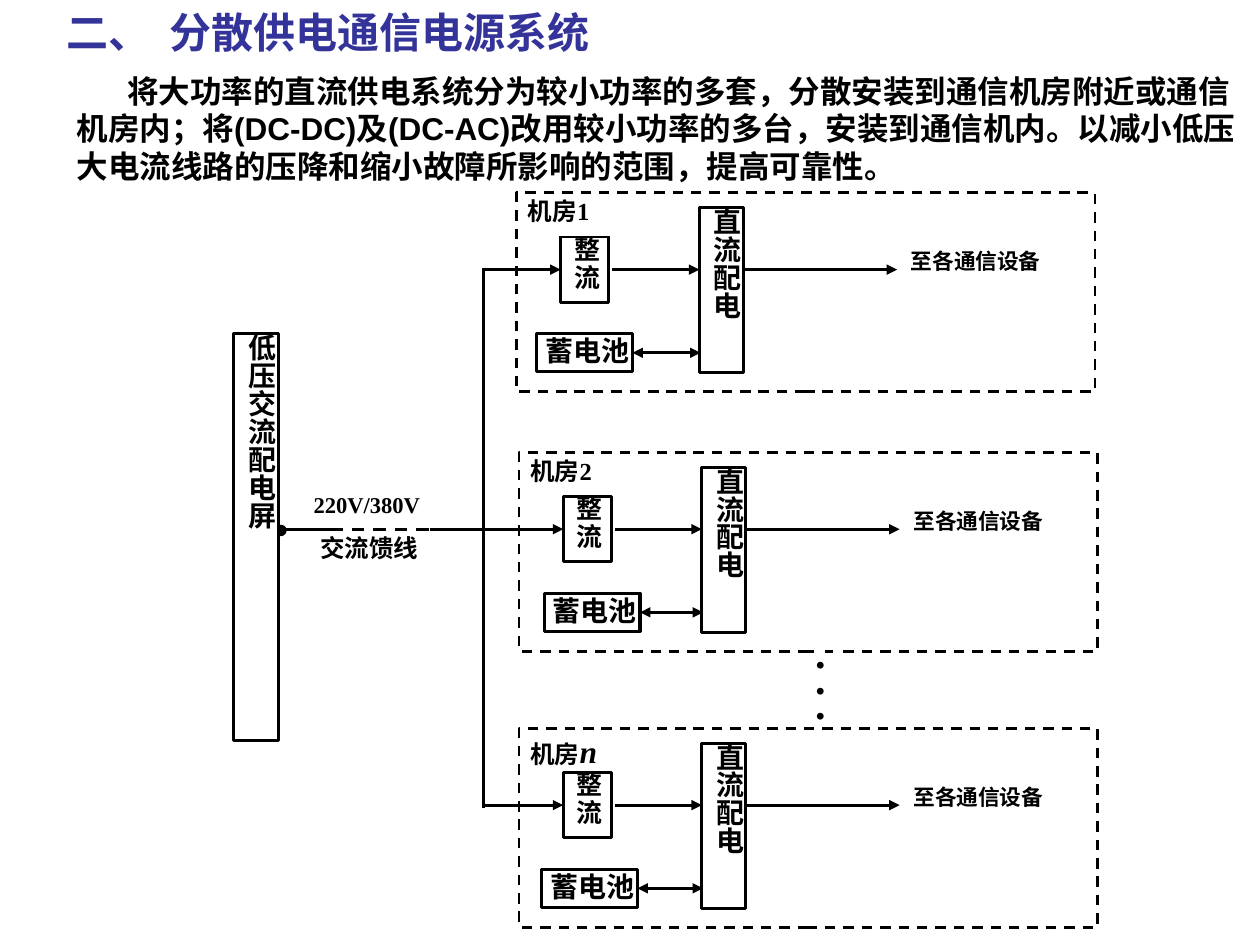
import dataclasses

import pptx
import pptx.dml.color
import pptx.enum.dml
import pptx.enum.shapes
import pptx.enum.text
import pptx.oxml.ns
import pptx.util
from lxml import etree

Inches = pptx.util.Inches
Pt = pptx.util.Pt
RGB = pptx.dml.color.RGBColor
SHAPE = pptx.enum.shapes.MSO_SHAPE
DASH = pptx.enum.dml.MSO_LINE.DASH
ALIGN = pptx.enum.text.PP_ALIGN
qn = pptx.oxml.ns.qn


@dataclasses.dataclass(frozen=True)
class Theme:
    ink: RGB = RGB(0, 0, 0)
    paper: RGB = RGB(255, 255, 255)
    accent: RGB = RGB(0x33, 0x33, 0x99)
    sans: str = "Arial"
    serif: str = "Times New Roman"
    title: float = 24
    body: float = 18
    block: float = 16
    rect: float = 14.8
    label: float = 14
    volt: float = 12.9
    out: float = 12.4
    wire: float = 1.75
    frame: float = 1.5


T = Theme()


def style(run, size, font=T.serif, color=T.ink):
    run.font.size = Pt(size)
    run.font.name = font
    run.font.bold = True
    run.font.color.rgb = color


def add_text(slide, at, text, size, color=T.ink):
    box = slide.shapes.add_textbox(*map(Inches, at))
    frame = box.text_frame
    frame.word_wrap = True
    frame.auto_size = pptx.enum.text.MSO_AUTO_SIZE.SHAPE_TO_FIT_TEXT
    frame.text = text
    para = frame.paragraphs[0]
    style(para.runs[0], size, T.sans, color)
    return para


def add_box(slide, at, line=T.ink, fill=T.paper, width=T.wire,
            kind=SHAPE.RECTANGLE):
    box = slide.shapes.add_shape(kind, *map(Inches, at))
    box.shadow.inherit = False
    if fill is None:
        box.fill.background()
    else:
        box.fill.solid()
        box.fill.fore_color.rgb = fill
    box.line.color.rgb = line
    box.line.width = Pt(width)
    return box


def fill_text(box, text, size, align=ALIGN.LEFT, space=1.0, left=0, vert=False):
    frame = box.text_frame
    frame.word_wrap = True
    frame.vertical_anchor = pptx.enum.text.MSO_ANCHOR.TOP
    frame.margin_left = Inches(left)
    frame.margin_top = frame.margin_right = frame.margin_bottom = 0
    if vert:
        box.element.txBody.bodyPr.set("vert", "eaVert")
    frame.text = text
    for para in frame.paragraphs:
        para.alignment = align
        para.line_spacing = space
        style(para.runs[0], size)


def add_label(slide, at, text, size, fill=None, space=1.0):
    box = add_box(slide, at, line=T.paper, fill=fill)
    fill_text(box, text, size, space=space)
    return box


def add_block(slide, at, text, size=T.block, **opts):
    box = add_box(slide, at)
    fill_text(box, text, size, ALIGN.CENTER, **opts)
    return box


def add_wire(slide, start, end, ends=(), dash=False):
    """Draw a line; ends names the arrowheads, headEnd and tailEnd."""
    wire = slide.shapes.add_connector(
        pptx.enum.shapes.MSO_CONNECTOR.STRAIGHT, *map(Inches, start + end))
    wire.line.color.rgb = T.ink
    wire.line.width = Pt(T.wire)
    if dash:
        wire.line.dash_style = DASH
    props = wire.element.spPr
    for name in ends:
        etree.SubElement(props.find(qn("a:ln")), qn("a:" + name), type="triangle")
    etree.SubElement(props, qn("a:effectLst"))
    return wire


def add_feed(slide):
    """Draw the mains feed and the bus that joins the rooms."""
    add_label(slide, (2.49, 3.92, 1.07, 0.23), "220V/380V", T.volt, space=0.9)
    add_box(slide, (2.19, 4.17, 0.08, 0.08), fill=T.ink, width=0.75,
            kind=SHAPE.OVAL)
    for left, right, dash in ((2.22, 2.65, False), (2.45, 3.49, True),
                              (3.41, 3.84, False)):
        add_wire(slide, (left, 4.2), (right, 4.2), dash=dash)
    add_wire(slide, (3.84, 2.13), (3.84, 6.41))
    add_label(slide, (2.54, 4.23, 0.84, 0.3), "交流馈线", T.label, T.paper)


def add_room(slide, x, y, name, shift):
    """Draw one room from its top left corner; shift places the battery."""
    mid = y + 0.61
    tail = ("tailEnd",)
    add_block(slide, (x + 1.45, y + 0.12, 0.35, 1.31), "直流配电", vert=True)
    rect = add_block(slide, (x + 0.35, y + 0.35, 0.38, 0.52), "整流", T.rect,
                     space=0.9, left=0.04)
    add_label(slide, (x + 3.13, y + 0.48, 1.4, 0.21), "至各通信设备", T.out,
              T.paper, 0.8)
    feed = add_wire(slide, (3.84, mid), (x + 0.35, mid), tail)
    feed.end_connect(rect, 1)
    add_wire(slide, (x + 0.76, mid), (x + 1.45, mid), tail)
    add_wire(slide, (x + 1.8, mid), (x + 3.02, mid), tail)
    frame = add_box(slide, (x, y, 4.59, 1.58), fill=None, width=T.frame)
    frame.line.dash_style = DASH
    label = add_label(slide, (x + 0.09, y + 0.03, 0.84, 0.3), "机房", T.label)
    run = label.text_frame.paragraphs[0].add_run()
    run.text = name
    style(run, T.body if name == "n" else T.label)
    if name == "n":
        run.font.italic = True
    cell = add_block(slide, (x + shift, y + 1.12, 0.76, 0.3), "蓄电池", left=0.04)
    link = add_wire(slide, (x + shift + 0.76, y + 1.27), (x + 1.46, y + 1.27),
                    ("headEnd", "tailEnd"))
    link.begin_connect(cell, 3)


def main():
    deck = pptx.Presentation()
    deck.slide_width, deck.slide_height = Inches(10), Inches(7.5)
    slide = deck.slides.add_slide(deck.slide_layouts[6])

    title = add_text(slide, (0.43, 0, 8.66, 0.5), "二、\t分散供电通信电源系统",
                     T.title, T.accent)
    props = title._p.get_or_add_pPr()
    tabs = etree.SubElement(props, qn("a:tabLst"))
    etree.SubElement(tabs, qn("a:tab"), pos=str(Inches(0.82)), algn="l")
    body = add_text(
        slide, (0.51, 0.52, 9.49, 1),
        "将大功率的直流供电系统分为较小功率的多套，分散安装到通信机房附近或通信"
        "机房内；将(DC-DC)及(DC-AC)改用较小功率的多台，安装到通信机内。以减小低"
        "压大电流线路的压降和缩小故障所影响的范围，提高可靠性。", T.body)
    body._p.get_or_add_pPr().set("indent", str(Inches(0.4)))

    add_feed(slide)
    for room in ((4.1, 1.53, "1", 0.16), (4.12, 3.59, "2", 0.2),
                 (4.12, 5.78, "n", 0.18)):
        add_room(slide, *room)
    add_label(slide, (6.47, 5.15, 0.15, 0.6), ".\n.\n.", T.title, space=0.5)
    add_block(slide, (1.85, 2.65, 0.36, 3.23), "低压交流配电屏", vert=True)
    deck.save("out.pptx")


if __name__ == "__main__":
    main()
